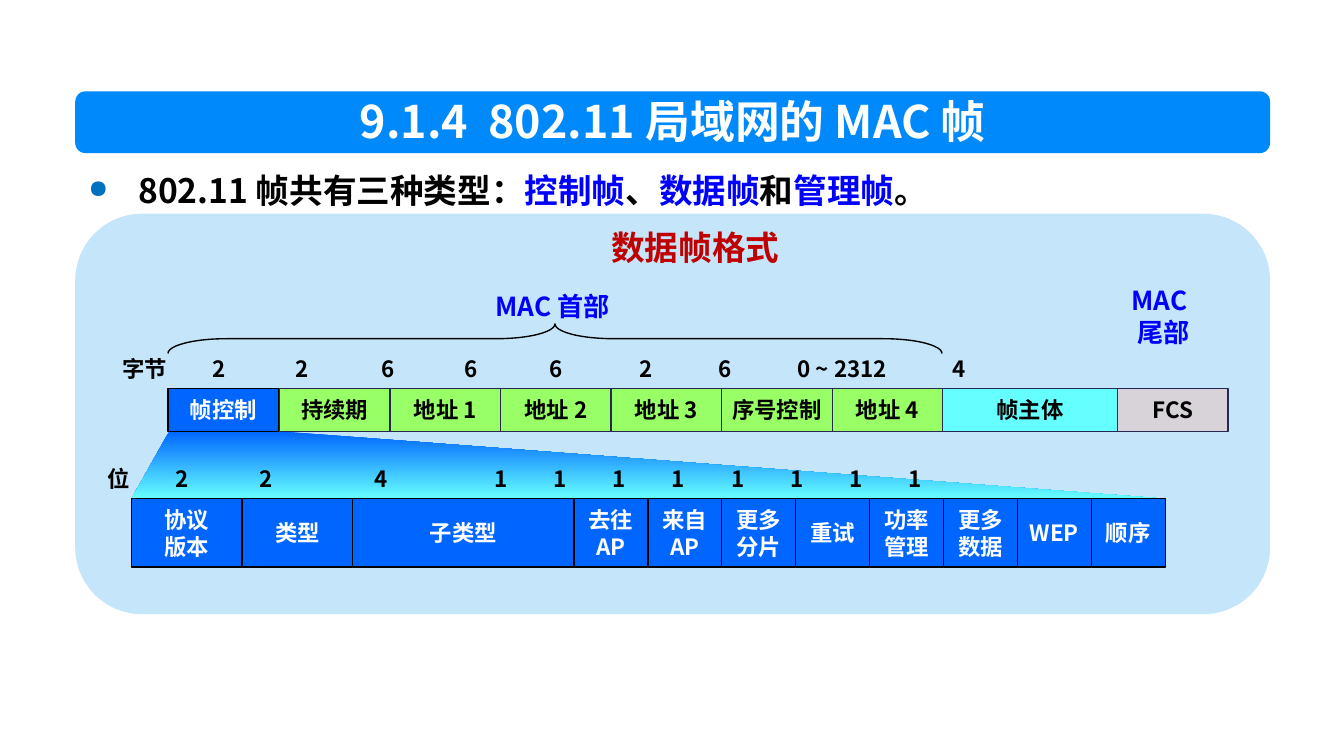
from lxml import etree
from pptx import Presentation
from pptx.dml.color import RGBColor
from pptx.enum import shapes, text
from pptx.oxml import ns
from pptx.util import Inches, Pt

FONT = "Noto Sans CJK SC"
BLACK, WHITE, BLUE, FIELD = "000000", "FFFFFF", "0000FF", "0066FF"
GREEN, CYAN, GREY, NAVY = "99FF66", "66FFFF", "D8D3D9", "242852"
RECT = shapes.MSO_SHAPE.RECTANGLE
ROUND = shapes.MSO_SHAPE.ROUNDED_RECTANGLE


def rgb(value):
    return RGBColor.from_string(value)


def add_xml(parent, tag, **attrs):
    return etree.SubElement(parent, ns.qn(tag), attrs)


def write(tf, content, size=12, color=BLACK, align=text.PP_ALIGN.LEFT):
    """Fill a frame; each line is a string or a list of (text, colour) runs."""
    for i, line in enumerate(content):
        p = tf.paragraphs[0] if i == 0 else tf.add_paragraph()
        p.alignment = align
        for words, tint in [(line, color)] if isinstance(line, str) else line:
            r = p.add_run()
            r.text = words
            r.font.size, r.font.bold, r.font.name = Pt(size), True, FONT
            r.font.color.rgb = rgb(tint)
            add_xml(r._r.get_or_add_rPr(), "a:ea", typeface=FONT)


def add_text(s, box, content, wrap=False, **style):
    tf = s.shapes.add_textbox(*map(Inches, box)).text_frame
    tf.word_wrap = wrap
    write(tf, content, **style)
    return tf.paragraphs[0]


def add_box(s, kind, box, fill=None, line=None):
    sp = s.shapes.add_shape(kind, *map(Inches, box))
    sp.shadow.inherit = False
    if fill:
        sp.fill.solid()
        sp.fill.fore_color.rgb = rgb(fill)
    else:
        sp.fill.background()
    if line:
        sp.line.color.rgb, sp.line.width = rgb(line), Pt(0.75)
    else:
        sp.line.fill.background()
    return sp


def add_fields(s, left, top, height, fields):
    """Lay out touching fields: (label, width, fill, line, text colour)."""
    for label, width, fill, line, color in fields:
        sp = add_box(s, RECT, (left, top, width, height), fill, line)
        tf = sp.text_frame
        tf.word_wrap = False
        tf.vertical_anchor = text.MSO_ANCHOR.MIDDLE
        write(tf, label.split("\n"), color=color, align=text.PP_ALIGN.CENTER)
        left += width


def add_sizes(s, box, unit, sizes):
    """A line of field sizes, each centred on its slide position by a tab."""
    line = "\t".join([unit] + [size for size, _ in sizes])
    p = add_text(s, box, [line], wrap=True)
    tabs = add_xml(p._p.get_or_add_pPr(), "a:tabLst")
    for _, x in sizes:
        add_xml(tabs, "a:tab", pos=str(Inches(x - box[0] - 0.1)), algn="ctr")


def add_fan(s, points):
    """Gradient wedge that expands the frame control field."""
    fb = s.shapes.build_freeform(*map(Inches, points[0]), scale=1.0)
    fb.add_line_segments([tuple(map(Inches, pt)) for pt in points[1:]], close=True)
    sp = fb.convert_to_shape()
    sp.shadow.inherit = False
    sp.line.fill.background()
    sp.fill.gradient()
    sp.fill.gradient_angle = 270
    for stop, color, pos in zip(sp.fill.gradient_stops, (FIELD, CYAN), (0, 1)):
        stop.color.rgb, stop.position = rgb(color), pos


def add_bullet(p):
    p.line_spacing = Pt(27)
    pPr = p._p.get_or_add_pPr()
    pPr.set("marL", str(Inches(0.37)))
    pPr.set("indent", str(-Inches(0.37)))
    add_xml(add_xml(pPr, "a:buClr"), "a:srgbClr", val="0070C0")
    add_xml(pPr, "a:buSzPct", val="75000")
    add_xml(pPr, "a:buChar", char="●")


def main():
    prs = Presentation()
    prs.slide_width, prs.slide_height = Inches(10), Inches(10 * 9 / 16)
    s = prs.slides.add_slide(prs.slide_layouts[6])

    # Title and statement
    add_box(s, ROUND, (0.56, 0.68, 8.89, 0.46), "0089FA")
    add_text(s, (2.43, 0.65, 5.15, 0.5), ["9.1.4  802.11 局域网的 MAC 帧"],
             size=24, color=WHITE, align=text.PP_ALIGN.CENTER)
    add_bullet(add_text(s, (0.56, 1.14, 9.05, 0.48), [[
        ("802.11 帧共有三种类型：", BLACK), ("控制帧", BLUE), ("、", BLACK),
        ("数据帧", BLUE), ("和", BLACK), ("管理帧", BLUE), ("。", BLACK)]],
        wrap=True, size=18))

    # Diagram panel
    add_box(s, ROUND, (0.56, 1.59, 8.89, 2.98), "C5E5FB")
    add_text(s, (4.45, 1.64, 1.46, 0.4), ["数据帧格式"], size=18, color="C00000")
    add_fan(s, [(0.98, 3.71), (1.26, 3.21), (2.08, 3.21), (8.65, 3.71)])

    # Frame fields, sizes in bytes
    add_sizes(s, (0.81, 2.59, 8.11, 0.3), "字节", [
        ("2", 1.63), ("2", 2.25), ("6", 2.89), ("6", 3.51), ("6", 4.14),
        ("2", 4.81), ("6", 5.4), ("0 ~ 2312", 6.27), ("4", 7.14)])
    wide = 3.29 / 4
    header = ["持续期", "地址 1", "地址 2", "地址 3", "序号控制", "地址 4"]
    add_fields(s, 2.08, 2.89, 0.32,
               [(name, wide, GREEN, NAVY, BLACK) for name in header]
               + [("帧主体", 1.3, CYAN, NAVY, BLACK),
                  ("FCS", wide, GREY, NAVY, BLACK)])

    # Frame control subfields, sizes in bits
    flags = ["去往\nAP", "来自\nAP", "更多\n分片", "重试",
             "功率\n管理", "更多\n数据", "WEP", "顺序"]
    subfields = [("协议\n版本", wide), ("类型", wide), ("子类型", 2 * wide)]
    subfields += [(name, 0.55) for name in flags]
    add_fields(s, 0.98, 3.71, 0.51,
               [(name, w, FIELD, BLACK, WHITE) for name, w in subfields])
    add_sizes(s, (0.7, 3.41, 7.91, 0.3), "位",
              [("2", 1.36), ("2", 1.98), ("4", 2.84)]
              + [("1", 3.73 + 0.44 * i) for i in range(len(flags))])

    # Header brace and part names
    brace = add_box(s, shapes.MSO_SHAPE.RIGHT_BRACE, (4.02, -0.36, 0.22, 5.76),
                    line=BLACK)
    brace.rotation = 270
    brace.adjustments[0], brace.adjustments[1] = 1.99, 0.5
    add_text(s, (3.59, 2.11, 1.13, 0.34), ["MAC 首部"], size=14, color=BLUE)
    add_text(s, (8.32, 2.07, 0.68, 0.57), ["MAC", " 尾部"], size=14, color=BLUE)

    # Frame control field, its border above its neighbour
    add_fields(s, 1.25, 2.89, 0.32, [("帧控制", wide, FIELD, BLACK, WHITE)])

    prs.save("out.pptx")


if __name__ == "__main__":
    main()
